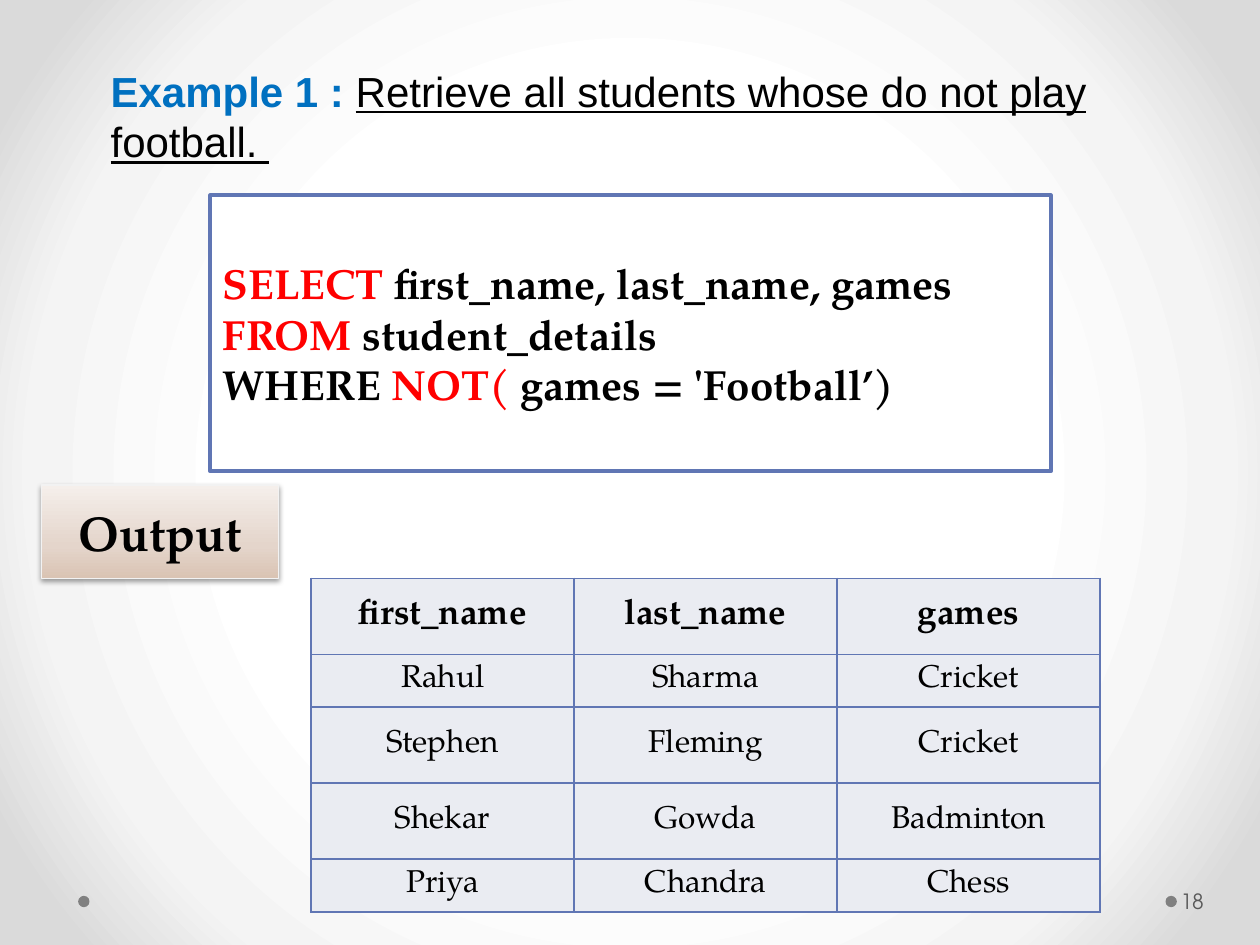
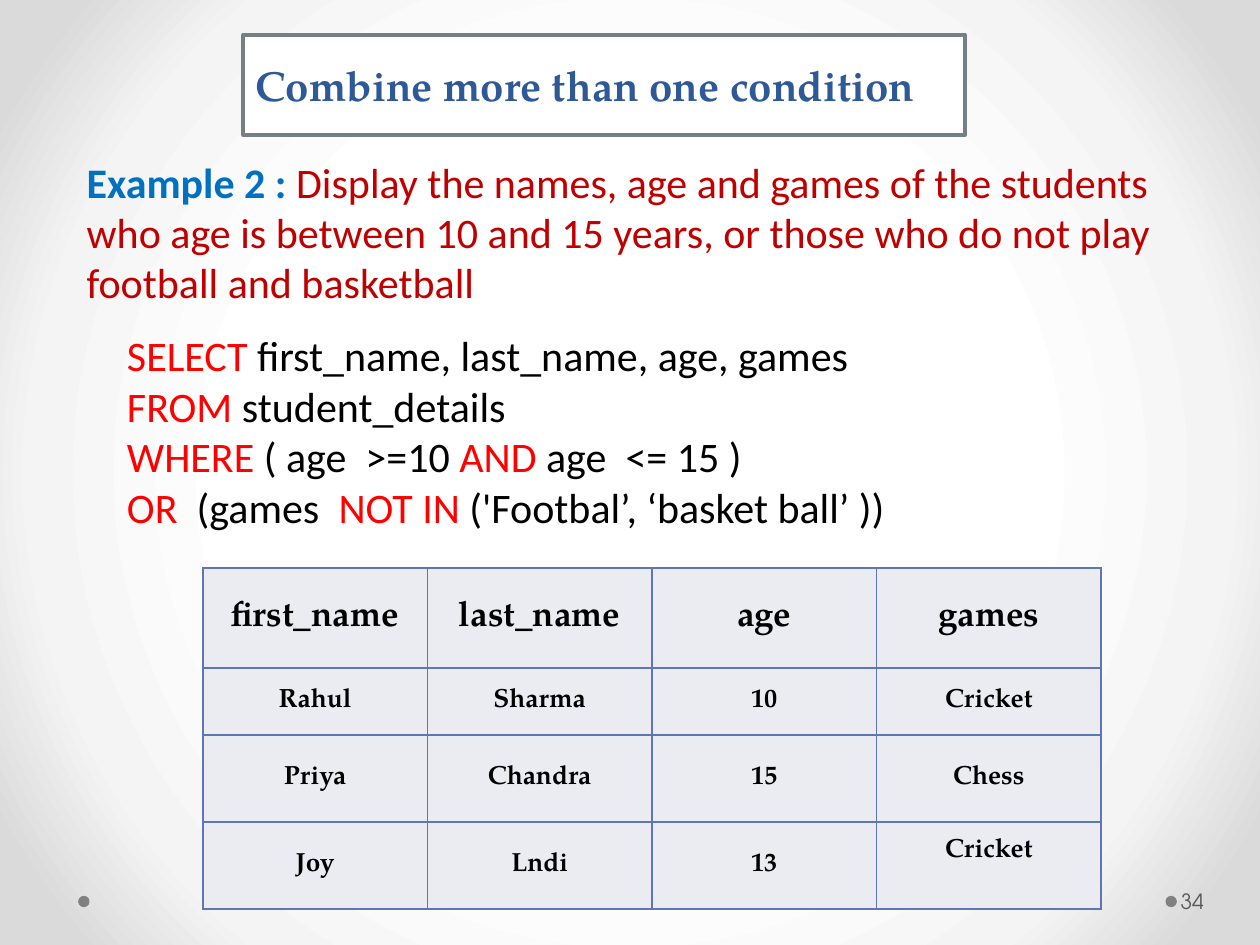
from pptx import Presentation
from pptx.dml.color import RGBColor
from pptx.enum.shapes import MSO_SHAPE
from pptx.enum.text import MSO_ANCHOR, PP_ALIGN
from pptx.oxml import parse_xml
from pptx.oxml.ns import nsdecls, qn
from pptx.util import Inches, Pt

RECT, OVAL = MSO_SHAPE.RECTANGLE, MSO_SHAPE.OVAL
TOP, MIDDLE = MSO_ANCHOR.TOP, MSO_ANCHOR.MIDDLE
LEFT, CENTER = PP_ALIGN.LEFT, PP_ALIGN.CENTER

BLACK = RGBColor(0x00, 0x00, 0x00)
WHITE = RGBColor(0xFF, 0xFF, 0xFF)
RED = RGBColor(0xFF, 0x00, 0x00)
DARK_RED = RGBColor(0xC0, 0x00, 0x00)
LABEL_BLUE = RGBColor(0x00, 0x70, 0xC0)
HEADING_BLUE = RGBColor(0x2F, 0x58, 0x97)
BORDER_BLUE = RGBColor(0x60, 0x76, 0xB4)
CELL_FILL = RGBColor(0xEA, 0xEC, 0xF2)
SLATE = RGBColor(0x75, 0x80, 0x85)
DOT_GRAY = RGBColor(0x80, 0x80, 0x80)
NUMBER_GRAY = RGBColor(0x59, 0x59, 0x59)
EDGE_GRAY = RGBColor(0xF2, 0xF2, 0xF2)

SERIF, SANS, ARIAL, NUMBER_FONT = "TeX Gyre Pagella", "Calibri", "Arial", "TeX Gyre Adventor"

WIDTH, HEIGHT = Inches(10), Inches(7.5)

BACKDROP = [(50, "FFFFFF"), (76, "F4F4F4"), (92, "DADADA")]
BACKDROP_PATH = ('<a:path path="circle">'
                 '<a:fillToRect l="50000" t="50000" r="50000" b="50000"/></a:path>')
BUTTON = [(0, "DAC4B4"), (35, "E4D5CB"), (100, "F5EFEB")]
BUTTON_PATH = '<a:lin ang="16200000" scaled="0"/>'


def across(share):
    """Percent of the slide's width."""
    return int(WIDTH * share / 100)


def down(share):
    """Percent of the slide's height."""
    return int(HEIGHT * share / 100)


def place(x, y, w, h):
    return across(x), down(y), across(w), down(h)


def gradient(stops, direction):
    gs = "".join(f'<a:gs pos="{pos * 1000}"><a:srgbClr val="{color}"/></a:gs>'
                 for pos, color in stops)
    return (f'<a:gradFill {nsdecls("a")} rotWithShape="1">'
            f'<a:gsLst>{gs}</a:gsLst>{direction}</a:gradFill>')


def write(tf, lines, font, size, bold=None, align=LEFT, anchor=TOP):
    """Fill a frame with lines of (text, colour, run format) runs."""
    tf.word_wrap = True
    tf.vertical_anchor = anchor
    p = tf.paragraphs[0]
    p.alignment = align
    p.font.name, p.font.size, p.font.bold = font, Pt(size), bold
    for i, line in enumerate(lines):
        if i:
            p.add_line_break()
        for text, color, *style in line:
            r = p.add_run()
            r.text = text
            r.font.color.rgb = color
            if "bold" in style:
                r.font.bold = True
            if "underline" in style:
                r.font.underline = True


def add_text(s, box, lines, font, size, **options):
    tf = s.shapes.add_textbox(*place(*box)).text_frame
    write(tf, lines, font, size, **options)
    return tf


def add_figure(s, kind, box, fill, line=None, line_width=2.25):
    sp = s.shapes.add_shape(kind, *place(*box))
    sp.shadow.inherit = False
    sp.fill.solid()
    sp.fill.fore_color.rgb = fill
    if line is None:
        sp.line.fill.background()
    else:
        sp.line.color.rgb = line
        sp.line.width = Pt(line_width)
    return sp


def add_framed_text(s, box, line, lines):
    sp = add_figure(s, RECT, box, WHITE, line)
    write(sp.text_frame, lines, SERIF, 24, bold=True, anchor=MIDDLE)


def add_button(s, box, label):
    sp = add_figure(s, RECT, box, WHITE, EDGE_GRAY, 0.75)
    sp_pr = sp.element.spPr
    sp_pr.replace(sp_pr.find(qn("a:solidFill")), parse_xml(gradient(BUTTON, BUTTON_PATH)))
    sp_pr.find(qn("a:effectLst")).append(parse_xml(
        f'<a:outerShdw {nsdecls("a")} blurRad="{Pt(3.1)}" dist="{Pt(1.6)}" dir="5400000" '
        'rotWithShape="0"><a:srgbClr val="000000"><a:alpha val="38000"/></a:srgbClr>'
        '</a:outerShdw>'))
    write(sp.text_frame, [[(label, BLACK)]], SERIF, 28, bold=True,
          align=CENTER, anchor=MIDDLE)


def add_borders(cell):
    tc_pr = cell._tc.get_or_add_tcPr()
    for i, side in enumerate(("lnL", "lnR", "lnT", "lnB")):
        tc_pr.insert(i, parse_xml(
            f'<a:{side} {nsdecls("a")} w="{Pt(1)}"><a:solidFill>'
            f'<a:srgbClr val="{BORDER_BLUE}"/></a:solidFill></a:{side}>'))


def add_result(s, x, y, width, row_shares, rows, body_size, body_bold):
    """Query result: equal columns, a bold header row, centred cells."""
    count = len(rows[0])
    frame = s.shapes.add_table(len(rows), count, *place(x, y, width, sum(row_shares)))
    table = frame.table
    table.first_row = table.horz_banding = False
    for col in table.columns:
        col.width = across(width / count)
    for i, (share, values) in enumerate(zip(row_shares, rows)):
        table.rows[i].height = down(share)
        size, bold = (body_size, body_bold) if i else (20, True)
        for j, value in enumerate(values):
            cell = table.cell(i, j)
            cell.fill.solid()
            cell.fill.fore_color.rgb = CELL_FILL
            cell.margin_left = cell.margin_right = Inches(0.08)
            cell.margin_top = cell.margin_bottom = Inches(0.04)
            write(cell.text_frame, [[(value, BLACK)]], SERIF, size, bold, CENTER)
            cell.vertical_anchor = MIDDLE
            add_borders(cell)
    return table


def add_slide(prs):
    """Blank slide with the radial backdrop and the two footer dots."""
    s = prs.slides.add_slide(prs.slide_layouts[6])
    s.element.cSld.insert(0, parse_xml(
        f'<p:bg {nsdecls("p", "a")}><p:bgPr>{gradient(BACKDROP, BACKDROP_PATH)}'
        '<a:effectLst/></p:bgPr></p:bg>'))
    for x in (92.5, 6.2):
        add_figure(s, OVAL, (x, 94.8, 0.9, 1.2), DOT_GRAY)
    return s


def add_number(s, number):
    tf = add_text(s, (93.4, 92.67, 6.1, 5.33), [[(number, NUMBER_GRAY)]],
                  NUMBER_FONT, 12, anchor=MIDDLE)
    tf.margin_left, tf.margin_right = Inches(0.03), Inches(0.05)


def build_not_slide(prs):
    s = add_slide(prs)
    add_text(s, (7.8, 6.27, 88.6, 21.07), [[
        ("Example 1 : ", LABEL_BLUE, "bold"),
        ("Retrieve all students whose do not play football. ", BLACK, "underline"),
    ]], ARIAL, 24)
    add_framed_text(s, (16.7, 20.67, 66.7, 29.2), BORDER_BLUE, [
        [("SELECT ", RED), ("first_name, last_name, games ", BLACK)],
        [("FROM ", RED), ("student_details ", BLACK)],
        [("WHERE ", BLACK), ("NOT(", RED), (" games = 'Football’)", BLACK)],
    ])
    add_result(s, 24.7, 61.2, 62.6, (8.04, 5.6, 8.04, 8.04, 5.6), [
        ("first_name", "last_name", "games"),
        ("Rahul", "Sharma", "Cricket"),
        ("Stephen", "Fleming", "Cricket"),
        ("Shekar", "Gowda", "Badminton"),
        ("Priya", "Chandra", "Chess"),
    ], 18, False)
    add_button(s, (3.3, 51.33, 18.8, 9.87), "Output")
    add_number(s, "18")


def build_combined_slide(prs):
    s = add_slide(prs)
    table = add_result(s, 16.1, 60.13, 71.3, (10.58, 7.09, 9.2, 9.2), [
        ("first_name", "last_name", "age", "games"),
        ("Rahul", "Sharma", "10", "Cricket"),
        ("Priya", "Chandra", "15", "Chess"),
        ("Joy", "Lndi", "13", "Cricket"),
    ], 15, True)
    # The last game sits a little above the middle of its cell
    table.cell(3, 3).margin_bottom = Inches(0.26)
    add_text(s, (5.9, 15.87, 90.6, 17.6), [[
        ("Example 2 : ", LABEL_BLUE, "bold"),
        ("Display the names, age and games of the students who age is between "
         "10 and 15 years, or those who do not play football and basketball", DARK_RED),
    ]], SANS, 24)
    add_framed_text(s, (19.3, 3.73, 57.3, 10.53), SLATE,
                    [[("Combine more than one condition", HEADING_BLUE)]])
    add_number(s, "34")
    add_text(s, (9.1, 34.27, 75.6, 22.93), [
        [("SELECT", RED), (" first_name, last_name, age, games ", BLACK)],
        [("FROM", RED), (" student_details ", BLACK)],
        [("WHERE ", RED), ("( age  >=10 ", BLACK), ("AND", RED), (" age  <= 15 )", BLACK)],
        [("OR  ", RED), ("(games  ", BLACK), ("NOT IN ", RED),
         ("('Footbal’, ‘basket ball’ ))", BLACK)],
    ], SANS, 24)


def main():
    prs = Presentation()
    prs.slide_width, prs.slide_height = WIDTH, HEIGHT
    build_not_slide(prs)
    build_combined_slide(prs)
    prs.save("out.pptx")


if __name__ == "__main__":
    main()
